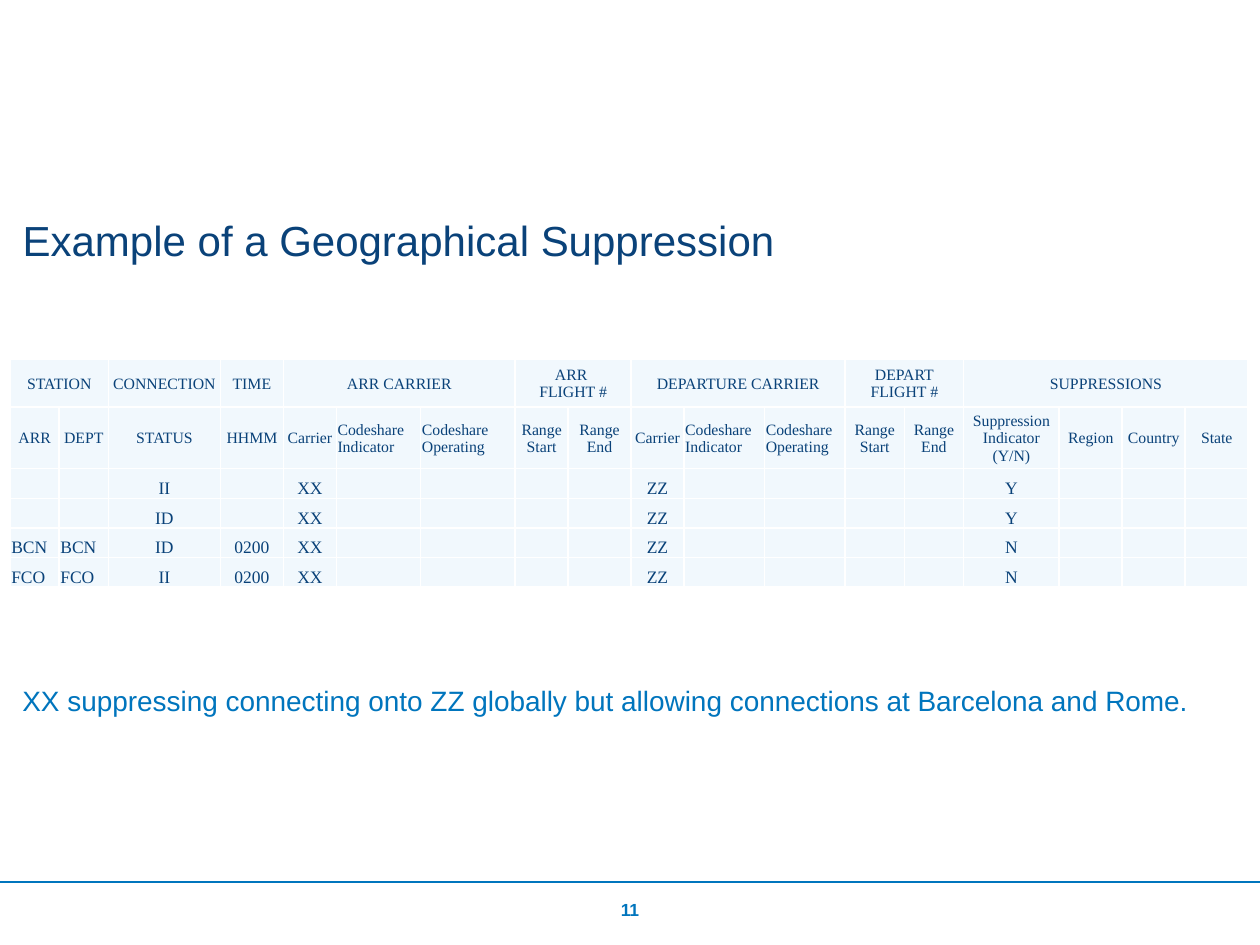
from dataclasses import dataclass

from lxml import etree
from pptx import Presentation
from pptx.dml.color import RGBColor
from pptx.enum.shapes import MSO_CONNECTOR
from pptx.enum.text import MSO_ANCHOR, MSO_AUTO_SIZE, PP_ALIGN
from pptx.oxml.ns import qn
from pptx.util import Inches, Pt

LEFT, CENTER = PP_ALIGN.LEFT, PP_ALIGN.CENTER
TOP, MIDDLE, BOTTOM = MSO_ANCHOR.TOP, MSO_ANCHOR.MIDDLE, MSO_ANCHOR.BOTTOM
COLORS = {"navy": "0A4279", "blue": "0075BD", "cell": "F1F8FD", "border": "FFFFFF"}

GRID_COLS, GRID_ROWS = 100, 75
SLIDE_W, SLIDE_H = Inches(10), Inches(7.5)


@dataclass(frozen=True)
class Box:
    """A frame in grid columns and rows."""
    col: float
    row: float
    cols: float
    rows: float

    def emu(self) -> tuple[int, int, int, int]:
        return gx(self.col), gy(self.row), gx(self.cols), gy(self.rows)


@dataclass(frozen=True)
class Style:
    size: int
    color: str
    font: str = "Arial"
    bold: bool = False
    align: PP_ALIGN = LEFT
    anchor: MSO_ANCHOR = MIDDLE


@dataclass(frozen=True)
class Group:
    title: str
    span: int


def gx(cols: float) -> int:
    return round(SLIDE_W * cols / GRID_COLS)


def gy(rows: float) -> int:
    return round(SLIDE_H * rows / GRID_ROWS)


def rgb(name: str) -> RGBColor:
    return RGBColor.from_string(COLORS[name])


def write(p, text: str, style: Style) -> None:
    p.alignment = style.align
    for i, line in enumerate(text.split("\n")):
        if i:
            p.add_line_break()
        r = p.add_run()
        r.text = line
        r.font.name, r.font.size, r.font.bold = style.font, Pt(style.size), style.bold
        r.font.color.rgb = rgb(style.color)


def fill_frame(sp, text: str, style: Style):
    tf = sp.text_frame
    tf.word_wrap = True
    tf.auto_size = MSO_AUTO_SIZE.NONE
    tf.vertical_anchor = style.anchor
    p = tf.paragraphs[0]
    write(p, text, style)
    return p


def add_borders(cell) -> None:
    tc_pr = cell._tc.get_or_add_tcPr()
    for i, side in enumerate(("lnL", "lnR", "lnT", "lnB")):
        ln = etree.Element(qn(f"a:{side}"), w=str(Pt(1)))
        fill = etree.SubElement(ln, qn("a:solidFill"))
        etree.SubElement(fill, qn("a:srgbClr"), val=COLORS["border"])
        tc_pr.insert(i, ln)


def fill_cell(cell, text: str, style: Style) -> None:
    cell.fill.solid()
    cell.fill.fore_color.rgb = rgb("cell")
    add_borders(cell)
    cell.margin_left = cell.margin_right = cell.margin_top = Inches(0.01)
    cell.margin_bottom = 0
    cell.vertical_anchor = style.anchor
    p = cell.text_frame.paragraphs[0]
    if text:
        write(p, text, style)
    else:  # keeps an empty cell from stretching its row
        etree.SubElement(p._p, qn("a:endParaRPr"), sz=str(style.size * 100))


TITLE = Style(24, "navy")
CAPTION = Style(16, "blue", anchor=TOP)
PAGE_NUMBER = Style(10, "blue", bold=True, align=CENTER)
SERIF = "Times New Roman"
HEAD = Style(9, "navy", SERIF, align=CENTER)
HEAD_LEFT = Style(9, "navy", SERIF)
BODY = Style(10, "navy", SERIF, align=CENTER, anchor=BOTTOM)
BODY_LEFT = Style(10, "navy", SERIF, anchor=BOTTOM)

ARR_CARRIER, DEP_CARRIER = "XX", "ZZ"
COL_WIDTHS = [3.9, 3.9, 8.9, 5, 4.2, 6.7, 7.5, 4.2, 5,
              4.2, 6.4, 6.4, 4.7, 4.7, 7.6, 5, 5, 5]
ROW_HEIGHTS = [3.8, 4.9] + [2.35] * 4
GROUPS = [
    Group("STATION", 2), Group("CONNECTION", 1), Group("TIME", 1),
    Group("ARR CARRIER", 3), Group("ARR \nFLIGHT #", 2),
    Group("DEPARTURE CARRIER", 3), Group("DEPART\nFLIGHT #", 2),
    Group("SUPPRESSIONS", 4),
]
FLIGHT_HEADS = ["Carrier", "Codeshare Indicator", "Codeshare Operating",
                "Range\nStart", "Range\nEnd"]
HEADS = ["ARR", "DEPT", "STATUS", "HHMM", *FLIGHT_HEADS, *FLIGHT_HEADS,
         "Suppression Indicator (Y/N)", "Region", "Country", "State"]
# Station (arrival and departure), status, time, suppression
RULES = [
    ("", "II", "", "Y"),
    ("", "ID", "", "Y"),
    ("BCN", "ID", "0200", "N"),
    ("FCO", "II", "0200", "N"),
]


def add_rules_table(slide, box: Box) -> None:
    table = slide.shapes.add_table(len(ROW_HEIGHTS), len(COL_WIDTHS), *box.emu()).table
    for column, width in zip(table.columns, COL_WIDTHS):
        column.width = gx(width)
    for row, height in zip(table.rows, ROW_HEIGHTS):
        row.height = gy(height)

    titles = []
    for group in GROUPS:
        start = len(titles)
        titles += [group.title] + [""] * (group.span - 1)
        if group.span > 1:
            table.cell(0, start).merge(table.cell(0, len(titles) - 1))

    blanks = [""] * 4
    body = [[station, station, status, time, ARR_CARRIER, *blanks,
             DEP_CARRIER, *blanks, flag, "", "", ""]
            for station, status, time, flag in RULES]
    for i, texts in enumerate([titles, HEADS, *body]):
        for j, text in enumerate(texts):
            if i < 2:
                style = HEAD_LEFT if text.startswith("Codeshare") else HEAD
            else:
                style = BODY_LEFT if j < 2 else BODY
            fill_cell(table.cell(i, j), text, style)


def add_footer_line(slide, row: float) -> None:
    line = slide.shapes.add_connector(MSO_CONNECTOR.STRAIGHT, 0, gy(row), SLIDE_W, gy(row))
    line.line.color.rgb = rgb("blue")
    line.line.width = Pt(1.5)
    etree.SubElement(line._element.spPr, qn("a:effectLst"))


def add_text(slide, box: Box, text: str, style: Style) -> None:
    fill_frame(slide.shapes.add_textbox(*box.emu()), text, style)


def main() -> None:
    prs = Presentation()
    prs.slide_width, prs.slide_height = SLIDE_W, SLIDE_H
    slide = prs.slides.add_slide(prs.slide_layouts[5])

    add_footer_line(slide, 70)
    title = slide.shapes.title
    title.left, title.top, title.width, title.height = Box(0.8, 16.5, 90, 5).emu()
    p = fill_frame(title, "Example of a Geographical Suppression", TITLE)
    p.space_before = p.space_after = Pt(3)
    add_text(slide, Box(43.3, 70.9, 13.4, 2.5), "11", PAGE_NUMBER)
    add_text(slide, Box(0.8, 53.8, 95.7, 6.7),
             f"{ARR_CARRIER} suppressing connecting onto {DEP_CARRIER} globally but "
             "allowing connections at Barcelona and Rome.", CAPTION)
    add_rules_table(slide, Box(0.8, 28.5, sum(COL_WIDTHS), sum(ROW_HEIGHTS)))
    prs.save("out.pptx")


if __name__ == "__main__":
    main()
